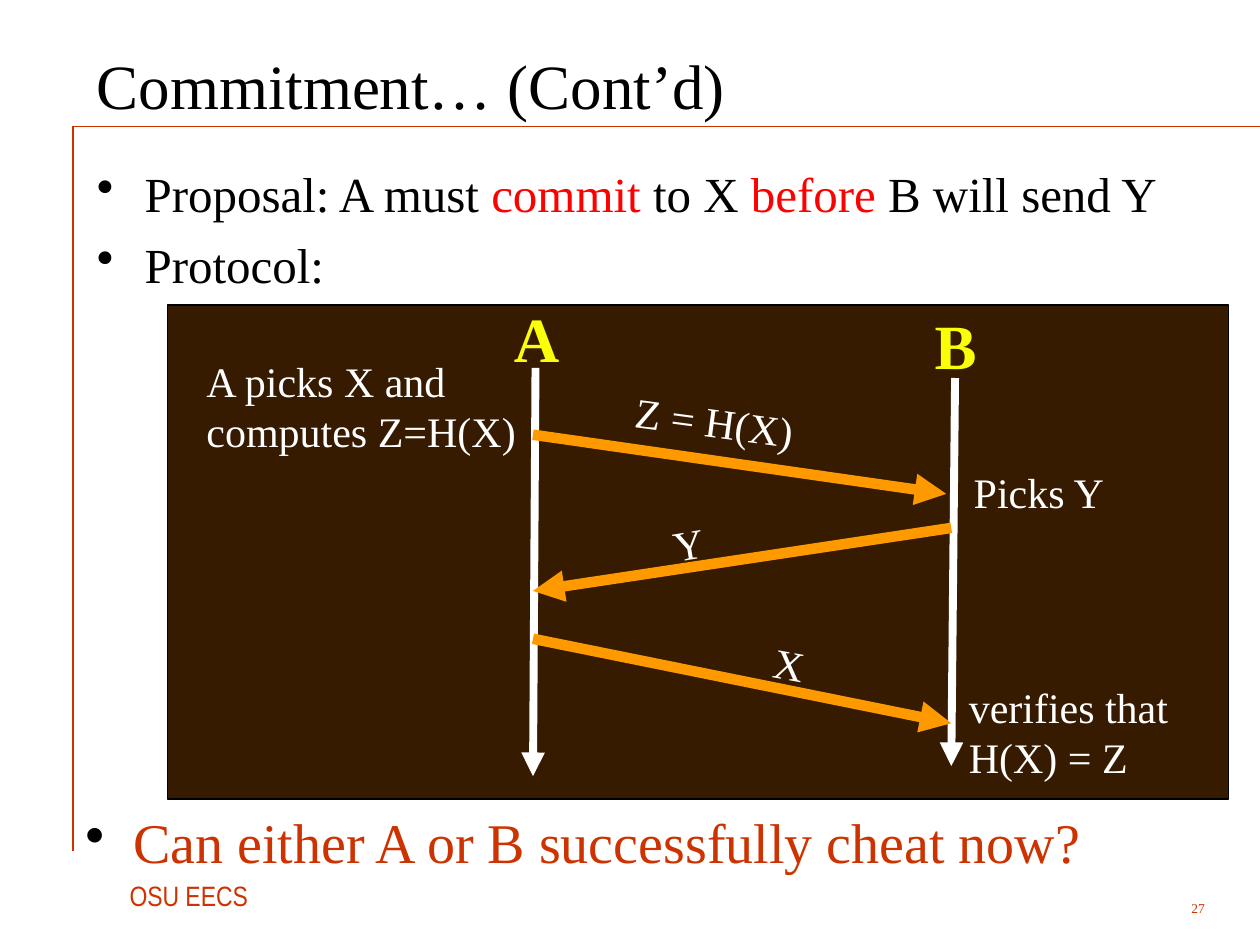
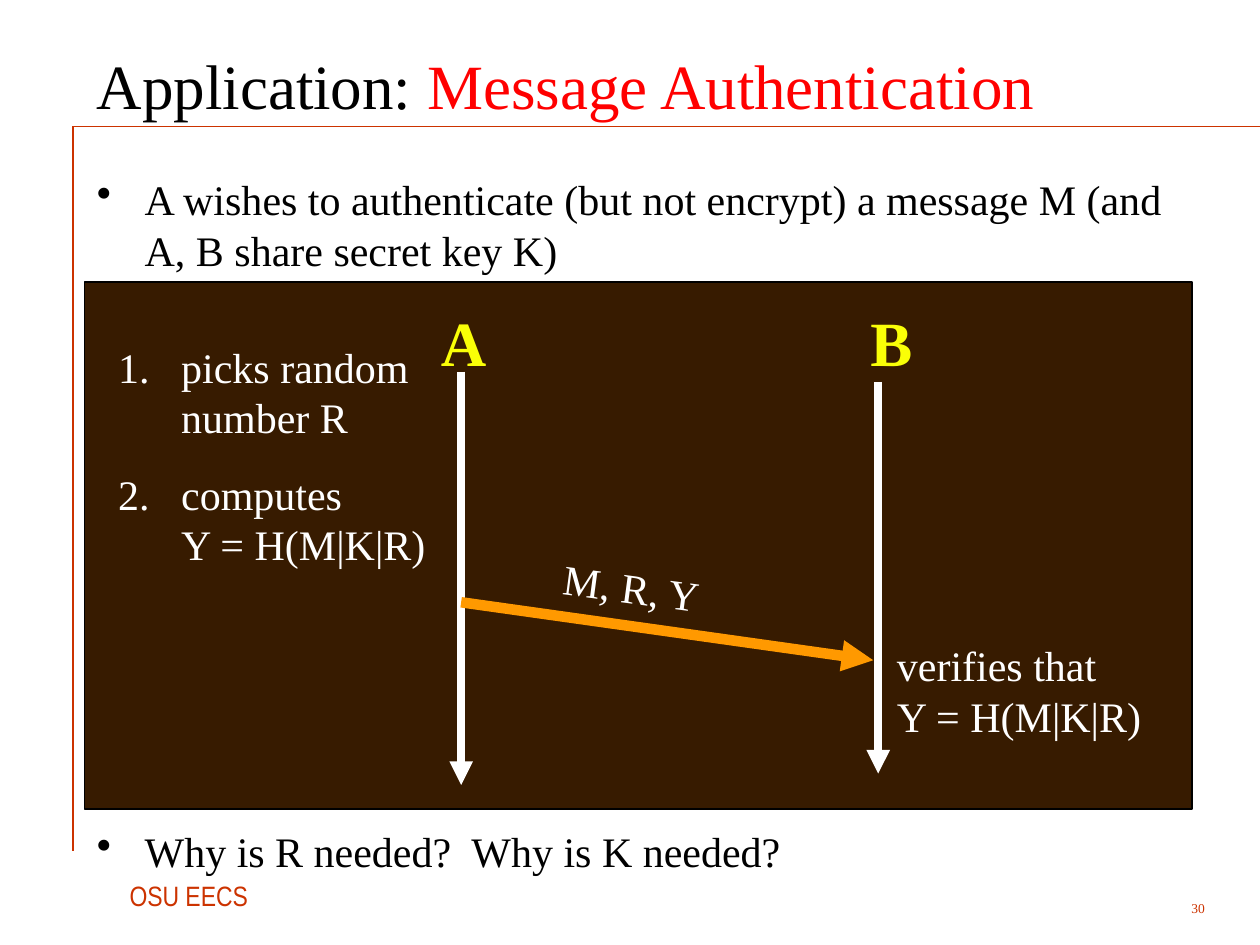
from dataclasses import dataclass

from lxml import etree
from pptx import Presentation
from pptx.dml.color import RGBColor
from pptx.enum.shapes import MSO_CONNECTOR, MSO_SHAPE
from pptx.enum.text import MSO_ANCHOR, PP_ALIGN
from pptx.oxml.ns import qn
from pptx.util import Inches, Pt

RECT = MSO_SHAPE.RECTANGLE
STRAIGHT = MSO_CONNECTOR.STRAIGHT
TOP, MIDDLE = MSO_ANCHOR.TOP, MSO_ANCHOR.MIDDLE
LEFT, RIGHT = PP_ALIGN.LEFT, PP_ALIGN.RIGHT
DOT = ("buChar", "char", "•", 0.38)
COUNT = ("buAutoNum", "type", "arabicPeriod", 0.5)


@dataclass(frozen=True)
class Theme:
    black: str = "000000"
    white: str = "FFFFFF"
    rust: str = "CC3300"
    red: str = "FF0000"
    brown: str = "371B00"
    yellow: str = "FAFF07"
    orange: str = "FF9900"
    serif: str = "Times New Roman"
    narrow: str = "Arial Narrow"
    title: float = 36
    ask: float = 32
    body: float = 28
    note: float = 24
    foot: float = 16
    page: float = 7.7
    hair: float = 0.25
    rule: float = 0.75
    edge: float = 1
    life: float = 4.5
    arrow: float = 6


def apply(item, values):
    for name, value in values.items():
        setattr(item, name, value)


class Deck:
    """Builds protocol slides in one shared style."""

    def __init__(self, theme):
        self.theme = theme
        self.file = Presentation()
        apply(self.file, {"slide_width": Inches(10), "slide_height": Inches(7.5)})
        self.slide = None

    def page(self, title, number):
        t = self.theme
        self.slide = self.file.slides.add_slide(self.file.slide_layouts[6])
        self.line((0.58, 1), (10, 1), t.rust, t.hair)
        self.line((0.58, 1), (0.58, 6.75), t.rust, t.rule)
        self.text((0.93, 6.92, 1.19, 0.37), ["OSU EECS"], t.foot, t.rust, face=t.narrow)
        self.text((8.83, 7.08, 0.83, 0.25), [number], t.page, t.rust,
                  anchor=MIDDLE, align=RIGHT)
        self.text((0.67, 0.17, 9.01, 1), [title], t.title, t.black, anchor=MIDDLE)

    def text(self, area, paras, size, color, face=None, bold=False, turn=0,
             anchor=TOP, align=LEFT, mark=None, gap=0, space=1.0):
        box = self.slide.shapes.add_textbox(*map(Inches, area))
        box.rotation = turn
        frame = box.text_frame
        apply(frame, {"word_wrap": True, "vertical_anchor": anchor})
        font = {"name": face or self.theme.serif, "size": Pt(size), "bold": bold}
        for i, parts in enumerate(paras):
            para = frame.add_paragraph() if i else frame.paragraphs[0]
            if mark:
                self.mark(para, mark, color if size != self.theme.ask else self.theme.black)
            apply(para, {"alignment": align, "line_spacing": space,
                         "space_before": Pt(gap if i else 0)})
            for part in [parts] if isinstance(parts, str) else parts:
                words, tint = (part, color) if isinstance(part, str) else part
                for j, row in enumerate(words.split("\n")):
                    if j:
                        para.add_line_break()
                    run = para.add_run()
                    run.text = row
                    apply(run.font, font)
                    run.font.color.rgb = RGBColor.from_string(tint)

    def mark(self, para, mark, color):
        tag, key, value, indent = mark
        props = para._p.get_or_add_pPr()
        props.set("marL", str(Inches(indent)))
        props.set("indent", str(-Inches(indent)))
        tint = etree.SubElement(props, qn("a:buClr"))
        etree.SubElement(tint, qn("a:srgbClr"), val=color)
        etree.SubElement(props, qn("a:" + tag)).set(key, value)

    def line(self, start, end, color, width, head=False):
        line = self.slide.shapes.add_connector(STRAIGHT, *map(Inches, start + end))
        line.line.width = Pt(width)
        line.line.color.rgb = RGBColor.from_string(color)
        if head:
            etree.SubElement(line.line._get_or_add_ln(), qn("a:tailEnd"), type="triangle")
        etree.SubElement(line._element.spPr, qn("a:effectLst"))

    def panel(self, area):
        box = self.slide.shapes.add_shape(RECT, *map(Inches, area))
        box.shadow.inherit = False
        box.fill.solid()
        box.fill.fore_color.rgb = RGBColor.from_string(self.theme.brown)
        box.line.color.rgb = RGBColor.from_string(self.theme.black)
        box.line.width = Pt(self.theme.edge)

    def party(self, name, spot, start, end):
        t = self.theme
        self.line(start, end, t.white, t.life, head=True)
        self.text(spot + (0.63, 0.7), [name], t.title, t.yellow, bold=True)

    def send(self, start, end, words, area, turn):
        self.line(start, end, self.theme.orange, self.theme.arrow, head=True)
        self.note(area, [words], turn=turn)

    def note(self, area, paras, **style):
        self.text(area, paras, self.theme.note, self.theme.white, **style)

    def points(self, area, paras, size, color=None, **style):
        self.text(area, paras, size, color or self.theme.black, mark=DOT, **style)


def commit(deck):
    t = deck.theme
    deck.page("Commitment… (Cont’d)", "27")
    deck.points((0.58, 6.42, 9.17, 0.61), ["Can either A or B successfully cheat now?"],
                t.ask, t.rust, space=0.9)
    deck.panel((1.33, 2.42, 8.42, 3.92))
    deck.party("A", (3.98, 2.33), (4.25, 2.92), (4.23, 6.16))
    deck.party("B", (7.32, 2.38), (7.58, 3), (7.55, 6.08))
    for step in (
        ((4.23, 3.45), (7.51, 3.92), "Z = H(X)", (4.94, 3.12, 1.85, 0.5), 7.6),
        ((7.55, 4.19), (4.23, 4.69), "Y", (5.24, 4.02, 1.01, 0.5), 350.4),
        ((4.23, 5.07), (7.55, 5.74), "X", (6.04, 5.07, 1.01, 0.5), 10.2),
    ):
        deck.send(*step)
    deck.note((7.63, 3.65, 2.1, 0.5), ["Picks Y"])
    deck.note((7.59, 5.36, 1.89, 0.9), ["verifies that\nH(X) = Z"])
    deck.note((1.54, 2.77, 2.73, 0.9), ["A picks X and computes Z=H(X)"])
    claim = ["Proposal: A must ", ("commit", t.red), " to X ", ("before", t.red),
             " B will send Y"]
    deck.points((0.67, 1.25, 9, 1.17), [claim, "Protocol:"], t.body, gap=7)


def verify(deck):
    t = deck.theme
    deck.page(["Application: ", ("Message Authentication", t.red)], "30")
    deck.points((0.67, 1.33, 9.03, 0.92),
                ["A wishes to authenticate (but not encrypt) a message M "
                 "(and A, B share secret key K)"], t.note)
    deck.panel((0.67, 2.24, 8.79, 4.18))
    deck.party("A", (3.4, 2.36), (3.66, 2.95), (3.66, 6.23))
    deck.party("B", (6.81, 2.36), (6.97, 3.03), (6.97, 6.14))
    deck.send((3.66, 4.78), (6.93, 5.24), "M, R, Y", (4.37, 4.45, 1.85, 0.5), 7.6)
    deck.note((7.02, 5.03, 2.35, 0.9), ["verifies that\nY = H(M|K|R)"])
    deck.note((0.84, 2.66, 2.9, 1.91),
              ["picks random\nnumber R", "computes\nY = H(M|K|R)"], mark=COUNT, gap=15)
    deck.points((0.67, 6.5, 9.03, 0.6), ["Why is R needed?  Why is K needed?"], t.note)


def main():
    deck = Deck(Theme())
    commit(deck)
    verify(deck)
    deck.file.save("out.pptx")


if __name__ == "__main__":
    main()
